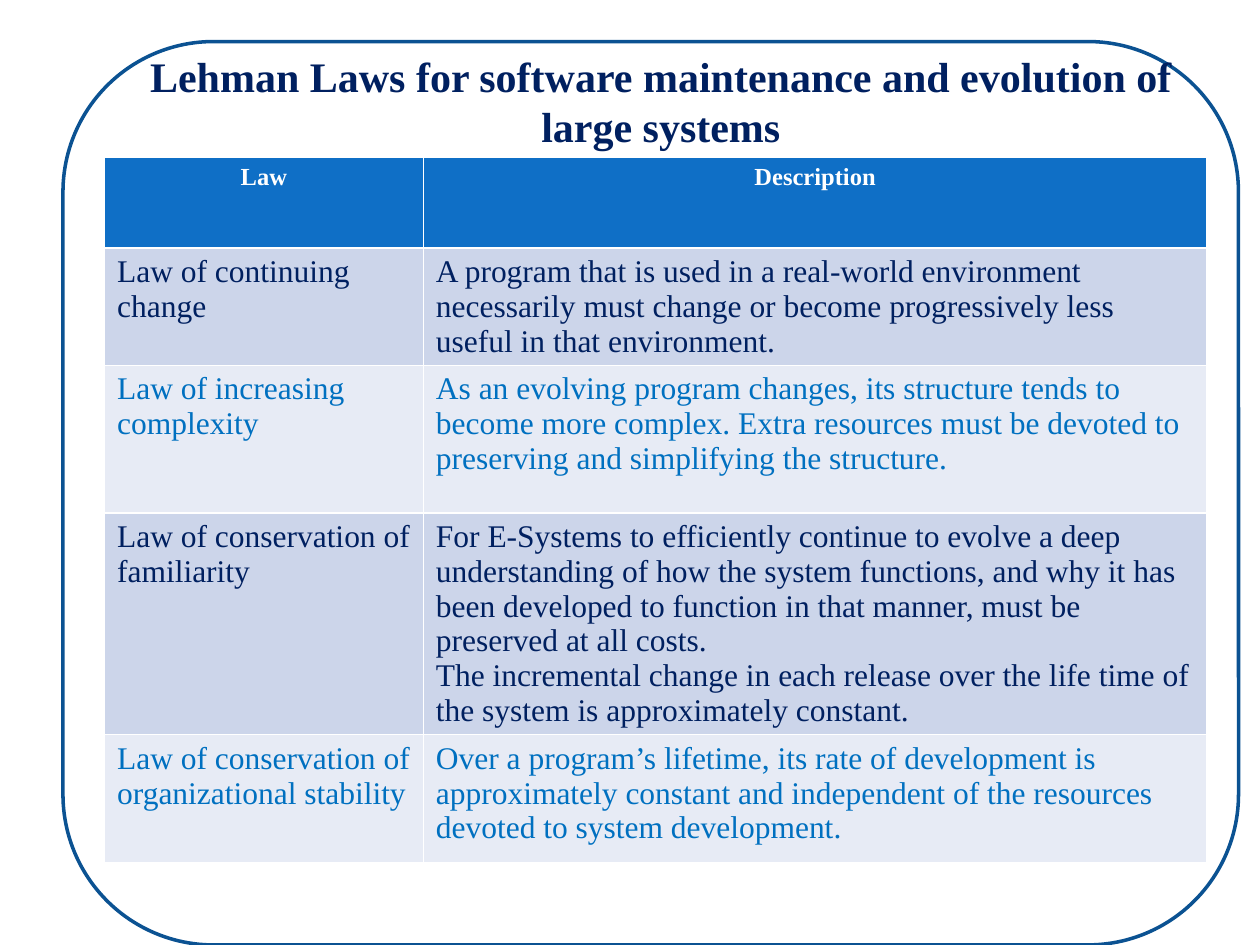
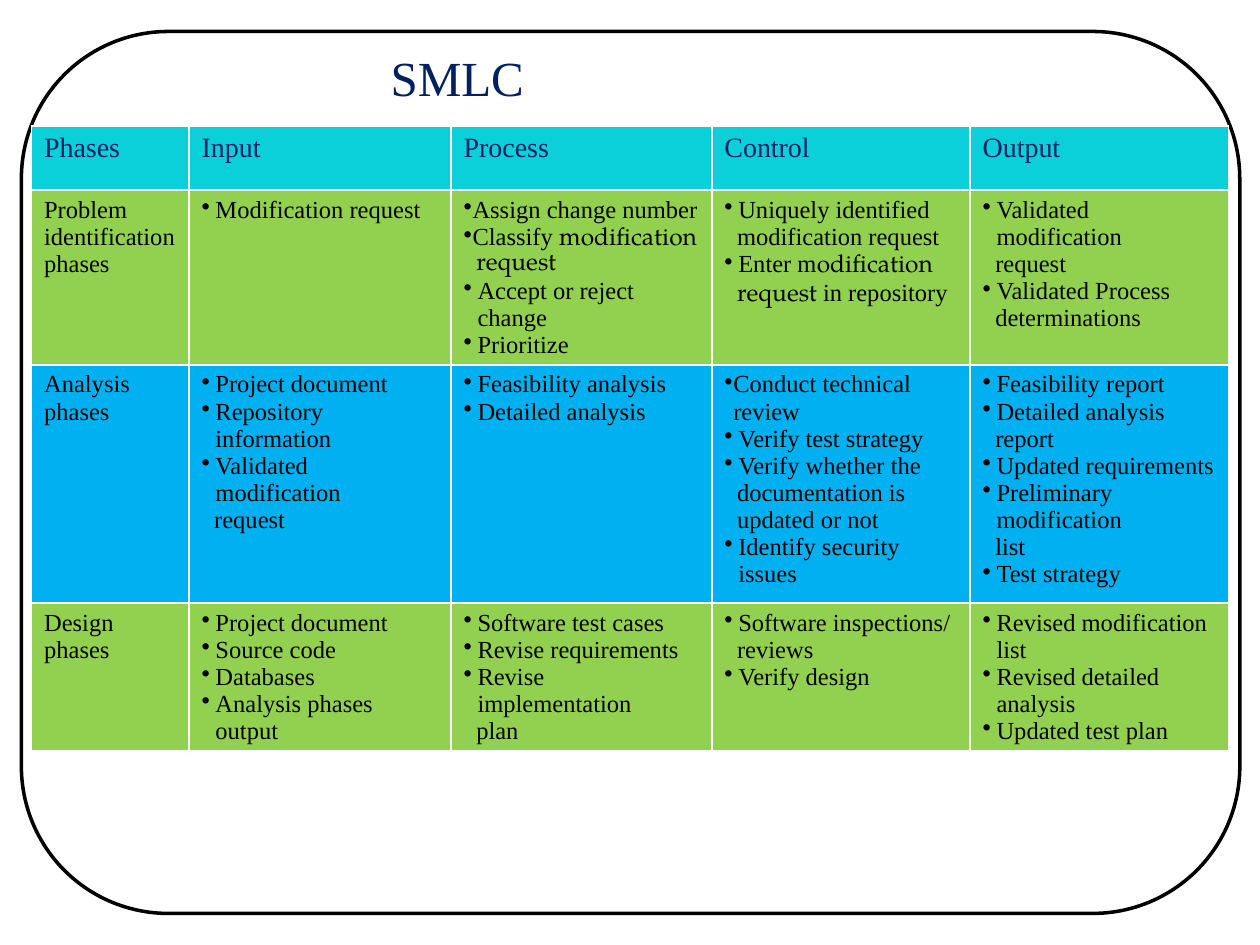
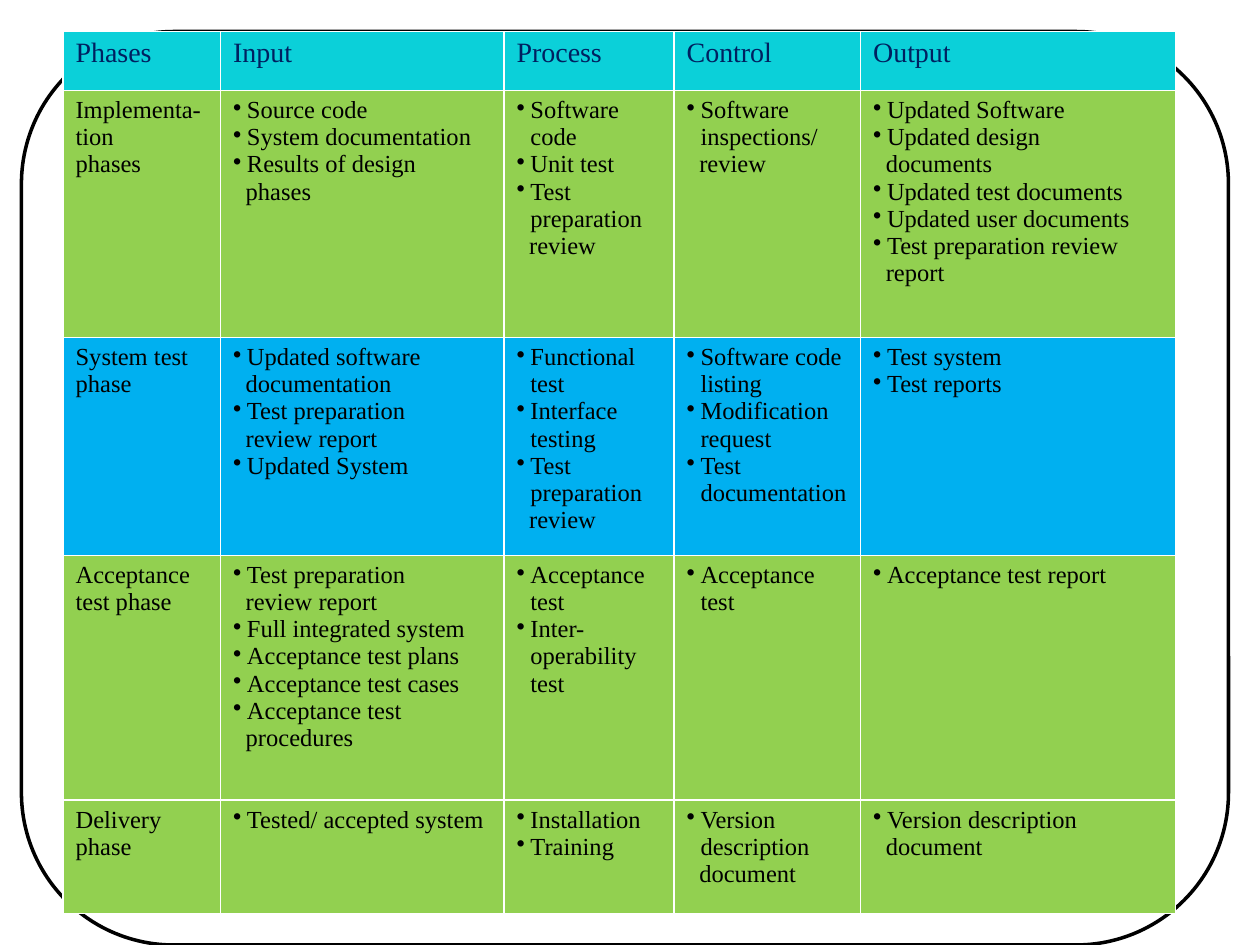
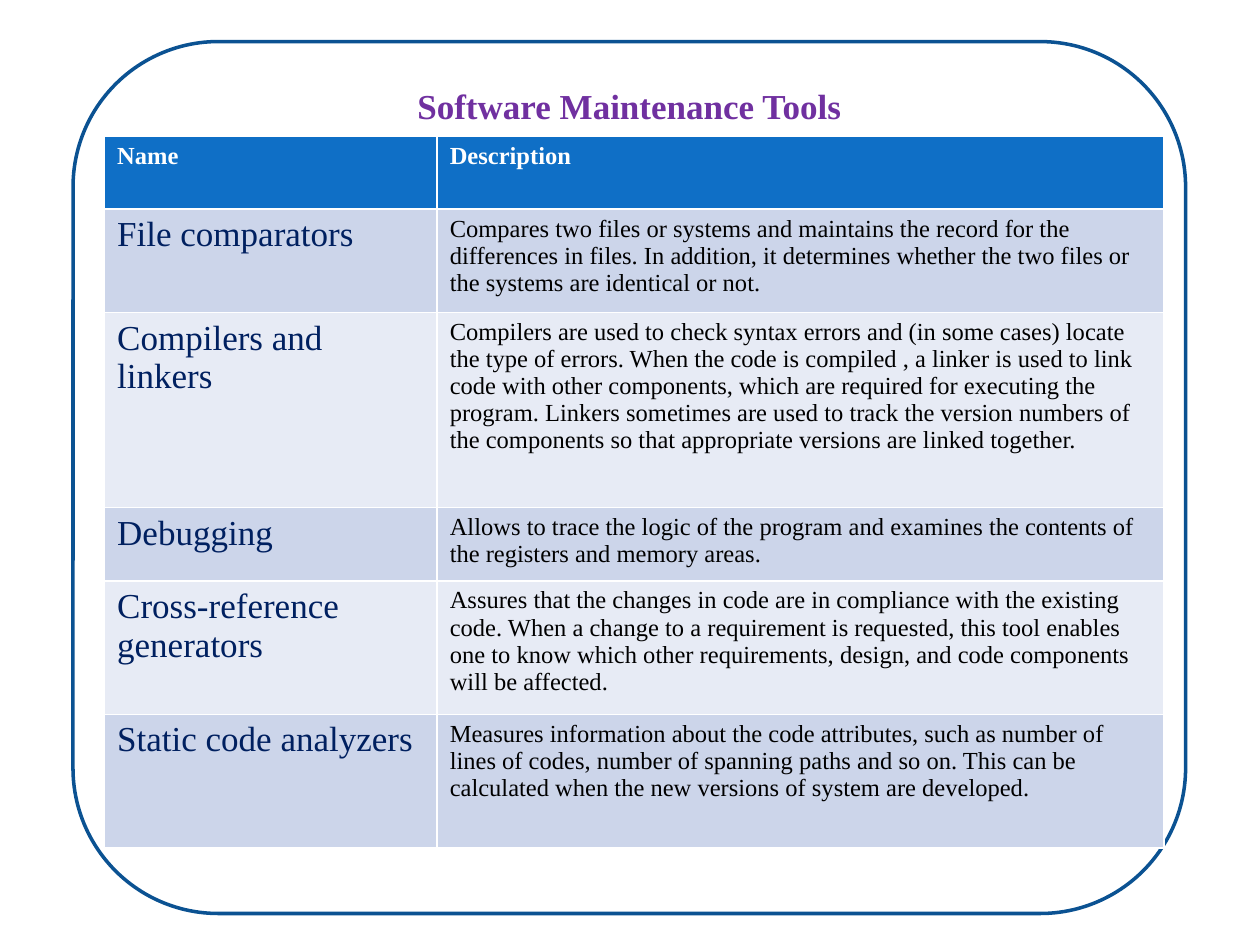
from lxml.etree import SubElement
from pptx import Presentation
from pptx.dml.color import RGBColor
from pptx.enum.shapes import MSO_SHAPE
from pptx.enum.text import MSO_ANCHOR, MSO_AUTO_SIZE, PP_ALIGN
from pptx.oxml.ns import qn
from pptx.util import Inches, Pt

COLORS = {
    "white": "FFFFFF", "black": "000000", "navy": "002060", "blue": "0070C0",
    "purple": "7030A0", "frame": "0B5292", "header": "0F6FC6",
    "band_dark": "CCD5EA", "band_light": "E7EBF5",
    "turquoise": "0BD0D9", "green": "92D050", "sky": "00B0F0",
}
BODY_FONT = "Times New Roman"
ALTERNATE_FONT = "TeX Gyre Pagella"
TITLE_ONLY, BLANK = 5, 6
SPACED_BULLET, TIGHT_BULLET, CONTINUATION = 0.11, 0.07, 0.1

LAWS = [
    ["Law", "Description"],
    ["Law of continuing change",
     "A program that is used in a real-world environment necessarily must change "
     "or become progressively less useful in that environment."],
    ["Law of increasing complexity",
     "As an evolving program changes, its structure tends to become more complex. "
     "Extra resources must be devoted to preserving and simplifying the structure."],
    ["Law of conservation of familiarity",
     "For E-Systems to efficiently continue to evolve a deep understanding of how "
     "the system functions, and why it has been developed to function in that "
     "manner, must be preserved at all costs.\n"
     "The incremental change in each release over the life time of the system is "
     "approximately constant."],
    ["Law of conservation of organizational stability",
     "Over a program’s lifetime, its rate of development is approximately constant "
     "and independent of the resources devoted to system development."],
]

PHASE_HEADER = ["Phases", "Input", "Process", "Control", "Output"]

# "• " opens a spaced bullet, "•" a tight one; "|" switches to the other font.
EARLY_PHASES = [
    PHASE_HEADER,
    ["Problem identification phases",
     "• Modification request",
     "•Assign change number\n•Classify |modification\n|request\n"
     "• Accept or reject change\n• Prioritize",
     "• Uniquely identified\nmodification request\n• Enter m|odification\n"
     "|request| in repository",
     "• Validated modification\nrequest\n• Validated Process\ndeterminations"],
    ["Analysis phases",
     "• Project document\n• Repository information\n• Validated modification\nrequest",
     "• Feasibility analysis\n• Detailed analysis",
     "•Conduct technical review\n• Verify test strategy\n• Verify whether the\n"
     "documentation is updated or not\n• Identify security issues",
     "• Feasibility report\n• Detailed analysis\nreport\n• Updated requirements\n"
     "• Preliminary modification\nlist\n• Test strategy"],
    ["Design phases",
     "• Project document\n• Source code\n• Databases\n• Analysis phases output",
     "• Software test cases\n• Revise requirements\n• Revise implementation\nplan",
     "• Software inspections/\nreviews\n• Verify design",
     "• Revised modification list\n• Revised detailed analysis\n• Updated test plan"],
]

LATE_PHASES = [
    PHASE_HEADER,
    ["Implementa-tion\nphases",
     "• Source code\n• System documentation\n• Results of design\nphases",
     "• Software code\n• Unit test\n• Test preparation\nreview",
     "• Software inspections/\nreview",
     "• Updated Software\n• Updated design\ndocuments\n• Updated test documents\n"
     "• Updated user documents\n• Test preparation review\nreport"],
    ["System test phase",
     "• Updated software\ndocumentation\n• Test preparation\nreview report\n"
     "• Updated System",
     "• Functional test\n• Interface testing\n• Test preparation\nreview",
     "• Software code listing\n• Modification request\n• Test documentation",
     "• Test system\n• Test reports"],
    ["Acceptance test phase",
     "• Test preparation\nreview report\n• Full integrated system\n"
     "• Acceptance test plans\n• Acceptance test cases\n• Acceptance test\nprocedures",
     "• Acceptance test\n• Inter-operability test",
     "• Acceptance test",
     "• Acceptance test report"],
    ["Delivery phase",
     "• Tested/ accepted system",
     "• Installation\n• Training",
     "• Version description\ndocument",
     "• Version description\ndocument"],
]

TOOLS = [
    ["Name", "Description"],
    ["File comparators",
     "Compares two files or systems and maintains the record for the differences in "
     "files. In addition, it determines whether the two files or the systems are "
     "identical or not."],
    ["Compilers and linkers",
     "Compilers are used to check syntax errors and (in some cases) locate the type "
     "of errors. When the code is compiled , a linker is used to link code with other "
     "components, which are required for executing the program. Linkers sometimes are "
     "used to track the version numbers of the components so that appropriate "
     "versions are linked together."],
    ["Debugging",
     "Allows to trace the logic of the program and examines the contents of the "
     "registers and memory areas."],
    ["Cross-reference generators",
     "Assures that the changes in code are in compliance with the existing code. When "
     "a change to a requirement is requested, this tool enables one to know which "
     "other requirements, design, and code components will be affected."],
    ["Static code analyzers",
     "Measures information about the code attributes, such as number of lines of "
     "codes, number of spanning paths and so on. This can be calculated when the new "
     "versions of system are developed."],
]


def rgb(color):
    return RGBColor.from_string(COLORS[color])


def add_run(paragraph, text, size, color, bold=False, font=BODY_FONT):
    run = paragraph.add_run()
    run.text = text
    run.font.name = font
    run.font.size = Pt(size)
    run.font.bold = bold
    run.font.color.rgb = rgb(color)


def set_indent(paragraph, left, first=0, bullet=False):
    properties = paragraph._p.get_or_add_pPr()
    properties.set("marL", str(Inches(left)))
    properties.set("indent", str(Inches(first)))
    if bullet:
        SubElement(properties, qn("a:buChar")).set("char", "•")


def add_framed_slide(prs, layout, at, line_color):
    slide = prs.slides.add_slide(prs.slide_layouts[layout])
    frame = slide.shapes.add_shape(MSO_SHAPE.ROUNDED_RECTANGLE, *map(Inches, at))
    frame.shadow.inherit = False
    frame.fill.solid()
    frame.fill.fore_color.rgb = rgb("white")
    frame.line.color.rgb = rgb(line_color)
    frame.line.width = Pt(2)
    return slide


def set_title(slide, text, at, size, color, bold=True, align=PP_ALIGN.CENTER):
    """Fill and place the title, and bring it in front of frame and table."""
    title = slide.shapes.title
    title.left, title.top, title.width, title.height = map(Inches, at)
    text_frame = title.text_frame
    text_frame.word_wrap = True
    text_frame.auto_size = MSO_AUTO_SIZE.NONE
    text_frame.vertical_anchor = MSO_ANCHOR.TOP
    paragraph = text_frame.paragraphs[0]
    paragraph.alignment = align
    paragraph.line_spacing = 1.0
    add_run(paragraph, text, size, color, bold)
    slide.shapes._spTree.append(title._element)


def write_cell(cell, text, fill, size, color, bold=False, align=PP_ALIGN.LEFT):
    cell.fill.solid()
    cell.fill.fore_color.rgb = rgb(fill)
    bulleted = text.startswith("•")
    for index, line in enumerate(text.split("\n")):
        content = cell.text_frame
        paragraph = content.add_paragraph() if index else content.paragraphs[0]
        paragraph.alignment = align
        if line.startswith("•"):
            hang = SPACED_BULLET if line.startswith("• ") else TIGHT_BULLET
            set_indent(paragraph, hang, -hang, bullet=True)
            line = line[1:].lstrip()
        elif bulleted:
            set_indent(paragraph, CONTINUATION)
        for part, words in enumerate(line.split("|")):
            if words:
                font = ALTERNATE_FONT if part % 2 else BODY_FONT
                add_run(paragraph, words, size, color, bold, font)


def add_grid(slide, at, widths, heights, rows, style):
    """Add a table; style(row, column) gives the formatting of each cell."""
    graphic = slide.shapes.add_table(len(rows), len(widths), *map(Inches, at))
    table = graphic.table
    for column, width in zip(table.columns, widths):
        column.width = Inches(width)
    for row, height in zip(table.rows, heights):
        row.height = Inches(height)
    graphic.height = Inches(at[3])
    for r, texts in enumerate(rows):
        for c, text in enumerate(texts):
            write_cell(table.cell(r, c), text, **style(r, c))


def band(row):
    return "band_dark" if row % 2 else "band_light"


def law_style(row, column):
    if row == 0:
        return dict(fill="header", size=14, color="white", bold=True,
                    align=PP_ALIGN.CENTER)
    return dict(fill=band(row), size=18, color="navy" if row % 2 else "blue")


def phase_style(row, column):
    if row == 0:
        return dict(fill="turquoise", size=16, color="navy")
    return dict(fill="sky" if row == 2 else "green", size=14, color="black")


def tool_style(row, column):
    if row == 0:
        return dict(fill="header", size=14, color="white", bold=True)
    if column == 0:
        return dict(fill=band(row), size=20, color="navy")
    return dict(fill=band(row), size=14, color="black")


def main():
    prs = Presentation()
    prs.slide_width, prs.slide_height = Inches(10), Inches(7.5)

    laws = add_framed_slide(prs, TITLE_ONLY, (0.5, 0.33, 9.33, 7.17), "frame")
    add_grid(laws, (0.83, 1.25, 8.75, 5.81), [2.53, 6.22],
             [0.72, 0.76, 1.17, 1.02, 1.02], LAWS, law_style)
    set_title(laws, "Lehman Laws for software maintenance and evolution of large systems",
              (1.08, 0.35, 8.33, 0.9), 24, "navy")

    early = add_framed_slide(prs, TITLE_ONLY, (0.17, 0.25, 9.67, 7), "black")
    add_grid(early, (0.25, 1, 9.5, 5.24), [1.25, 2.08, 2.07, 2.05, 2.05],
             [0.51, 1.38, 1.89, 1.13], EARLY_PHASES, phase_style)
    set_title(early, "SMLC", (3, 0.33, 3.92, 0.57), 28, "navy",
              bold=False, align=PP_ALIGN.LEFT)

    late = add_framed_slide(prs, BLANK, (0.17, 0.25, 9.58, 7.25), "black")
    add_grid(late, (0.5, 0.25, 8.83, 7.01), [1.25, 2.25, 1.35, 1.48, 2.5],
             [0.47, 1.96, 1.73, 1.94, 0.9], LATE_PHASES, phase_style)

    tools = add_framed_slide(prs, TITLE_ONLY, (0.58, 0.33, 8.83, 6.92), "frame")
    add_grid(tools, (0.83, 1.08, 8.42, 5.67), [2.64, 5.77],
             [0.58, 0.82, 1.55, 0.58, 1.06, 1.06], TOOLS, tool_style)
    set_title(tools, "Software Maintenance Tools", (0.83, 0.62, 8.33, 0.42), 20, "purple")

    prs.save("out.pptx")


if __name__ == "__main__":
    main()
